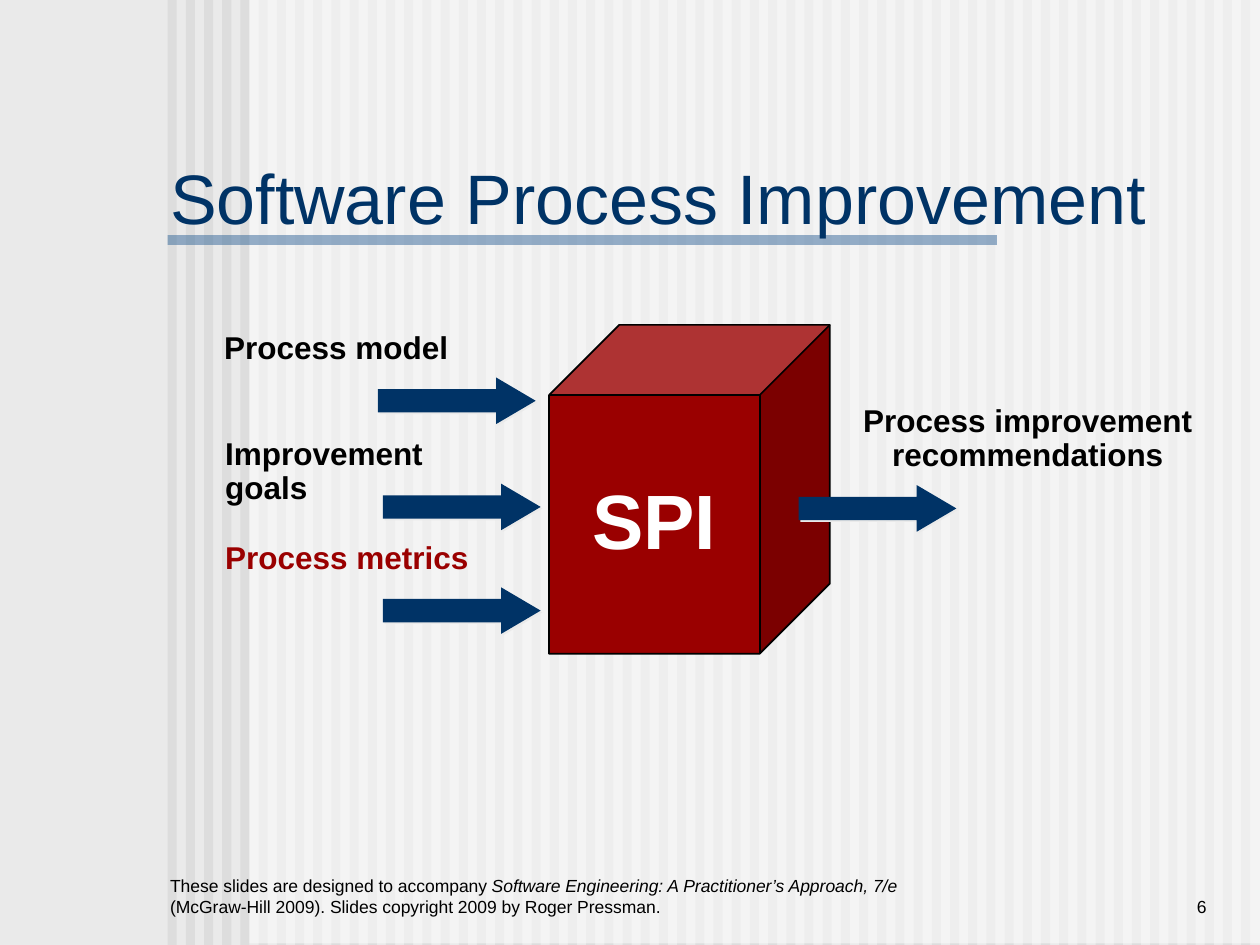
from dataclasses import dataclass

from lxml import etree
from pptx import Presentation
from pptx import util as u
from pptx.dml.color import RGBColor
from pptx.enum import shapes, text
from pptx.oxml import ns

Cm, Pt = u.Cm, u.Pt
Kind, Align, Anchor = shapes.MSO_SHAPE, text.PP_ALIGN, text.MSO_ANCHOR


@dataclass(frozen=True)
class Theme:
    font: str = "Arial"
    back: str = "EAEAEA"
    stripe: str = "DDDDDD"
    white: str = "FFFFFF"
    black: str = "000000"
    navy: str = "003366"
    blue: str = "336699"
    red: str = "9A0000"
    title: int = 40
    cube: int = 44
    label: int = 18
    foot: int = 10


T = Theme()


def tint(fill, color, alpha=None):
    fill.solid()
    fill.fore_color.rgb = RGBColor.from_string(color)
    if alpha:
        node = fill._xPr.find(".//" + ns.qn("a:srgbClr"))
        etree.SubElement(node, ns.qn("a:alpha"), val=str(alpha * 1000))


def add_form(slide, kind, box, color, alpha=None):
    form = slide.shapes.add_shape(kind, *map(Cm, box))
    form.shadow.inherit = False
    tint(form.fill, color, alpha)
    form.line.fill.background()
    return form


def write(frame, lines, size, color, bold=False, align=Align.LEFT, space=None):
    """Fill a frame; each line is a list of (words, italic) runs."""
    for i, runs in enumerate(lines):
        para = frame.paragraphs[0] if i == 0 else frame.add_paragraph()
        para.alignment = align
        para.line_spacing = space
        font = para.font
        font.name, font.size, font.bold = T.font, Pt(size), bold
        font.color.rgb = RGBColor.from_string(color)
        for words, slant in runs:
            run = para.add_run()
            run.text = words
            if slant:
                run.font.italic = True


def add_text(slide, box, lines, size, color, align=Align.LEFT):
    frame = slide.shapes.add_textbox(*map(Cm, box)).text_frame
    frame.word_wrap = True
    frame.vertical_anchor = Anchor.BOTTOM
    write(frame, lines, size, color, align=align)


def add_label(slide, box, lines, color=T.black, align=Align.LEFT):
    frame = slide.shapes.add_textbox(*map(Cm, box)).text_frame
    frame.word_wrap = False
    frame.auto_size = text.MSO_AUTO_SIZE.SHAPE_TO_FIT_TEXT
    write(frame, [[(line, False)] for line in lines], T.label, color,
          True, align, 0.9)


def add_arrow(slide, left, top):
    arrow = add_form(slide, Kind.RIGHT_ARROW, (left, top, 3.18, 0.94), T.navy)
    arrow.adjustments[0], arrow.adjustments[1] = 0.5, 0.85
    # Light shadow, down and to the right
    effect = arrow._element.spPr.find(ns.qn("a:effectLst"))
    shade = etree.SubElement(effect, ns.qn("a:outerShdw"), dist=str(Pt(1.4)),
                             dir="2700000", algn="ctr", rotWithShape="0")
    etree.SubElement(shade, ns.qn("a:srgbClr"), val=T.back)


def add_cube(slide):
    cube = add_form(slide, Kind.CUBE, (11.07, 6.55, 5.66, 6.63), T.red)
    cube.adjustments[0] = 0.25
    tint(cube.line.fill, T.black)
    cube.line.width = Pt(1)
    frame = cube.text_frame
    frame.word_wrap = False
    frame.vertical_anchor = Anchor.MIDDLE
    write(frame, [[("SPI", False)]], T.cube, T.white, True, Align.CENTER, 0.9)


def add_back(slide):
    tint(slide.background.fill, T.back)
    first, last, count = 3.38, 25.02, 60
    step = (last - first) / (count - 1)
    for i in range(count):
        add_form(slide, Kind.RECTANGLE, (first + i * step, 0, step / 2, 19.05),
                 T.stripe)
    # Pale veil and title rule
    add_form(slide, Kind.RECTANGLE, (5.03, -0.03, 20.37, 19.05), T.white, 50)
    add_form(slide, Kind.RECTANGLE, (3.38, 4.74, 16.72, 0.2), T.blue, 50)


def main():
    deck = Presentation()
    deck.slide_width, deck.slide_height = Cm(25.4), Cm(19.05)
    slide = deck.slides.add_slide(deck.slide_layouts[6])
    add_back(slide)

    # Footer and title
    add_text(slide, (20.96, 17.35, 3.61, 1.27), [[("6", False)]],
             T.foot, T.black, Align.RIGHT)
    add_text(slide, (3.18, 17.35, 15.24, 1.27), [[
        ("These slides are designed to accompany ", False),
        ("Software Engineering: A Practitioner’s Approach, 7/e ", True),
        ("(McGraw-Hill 2009). Slides copyright 2009 by Roger Pressman.", False),
    ]], T.foot, T.black)
    add_text(slide, (3.18, 3.18, 21.16, 1.75),
             [[("Software Process Improvement", False)]], T.title, T.navy)

    add_cube(slide)

    # Inputs: each label sits above its arrow
    inputs = [
        ("Process model", 4.27, 6.57, 5.03, 7.62, T.black),
        ("Improvement goals", 4.29, 8.71, 6.32, 7.72, T.black),
        ("Process metrics", 4.29, 10.8, 5.41, 7.72, T.red),
    ]
    for words, left, top, width, tail, color in inputs:
        add_arrow(slide, tail, top + 1.04)
        add_label(slide, (left, top, width, 0.94), [words], color)

    # Output
    add_arrow(slide, 16.1, 9.78)
    add_label(slide, (17.15, 8.05, 7.14, 1.63),
              ["Process improvement", "recommendations"], align=Align.CENTER)

    deck.save("out.pptx")


if __name__ == "__main__":
    main()
